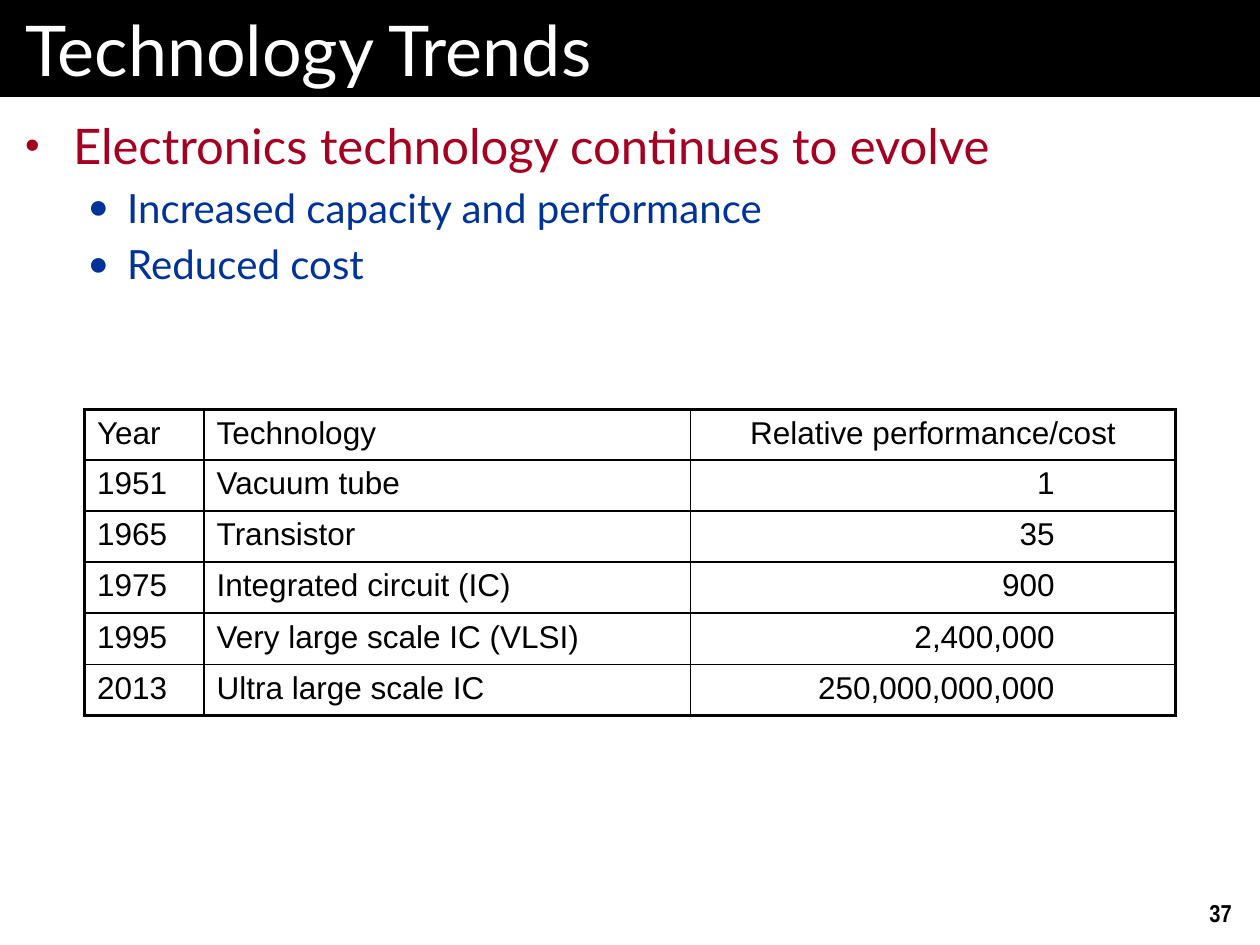
import pptx
import pptx.dml.color
import pptx.enum.text
import pptx.oxml.ns
import pptx.util
from lxml import etree

Inches = pptx.util.Inches
Pt = pptx.util.Pt
Align = pptx.enum.text.PP_ALIGN
Anchor = pptx.enum.text.MSO_ANCHOR

ROWS = [
    ("Year", "Technology", "Relative performance/cost"),
    ("1951", "Vacuum tube", "1"),
    ("1965", "Transistor", "35"),
    ("1975", "Integrated circuit (IC)", "900"),
    ("1995", "Very large scale IC (VLSI)", "2,400,000"),
    ("2013", "Ultra large scale IC", "250,000,000,000"),
]
POINTS = [
    (0, "Electronics technology continues to evolve"),
    (1, "Increased capacity and performance"),
    (1, "Reduced cost"),
]


def color(code):
    return pptx.dml.color.RGBColor.from_string(code)


def add_node(parent, tag, **attrs):
    node = etree.SubElement(parent, pptx.oxml.ns.qn(tag))
    for key, value in attrs.items():
        node.set(key, str(value))
    return node


class Deck:
    black, white = "000000", "FFFFFF"
    head_font, cell_font, page_font = "Lato", "Arial", "Arial Narrow"
    # Per list level: mark, colour, size, left margin, hanging indent
    levels = [("•", "A50021", 28, 0.38, -0.38), ("●", "003399", 23, 0.81, -0.31)]
    thick, medium, thin = 2.25, 1.5, 1

    def __init__(self):
        self.show = pptx.Presentation()
        self.show.slide_width, self.show.slide_height = Inches(10), Inches(7.5)
        self.slide = self.show.slides.add_slide(self.show.slide_layouts[1])

    def place(self, shape, box, side, edge, anchor=Anchor.TOP):
        shape.left, shape.top, shape.width, shape.height = map(Inches, box)
        frame = shape.text_frame
        frame.word_wrap = True
        frame.auto_size = pptx.enum.text.MSO_AUTO_SIZE.NONE
        frame.vertical_anchor = anchor
        frame.margin_left = frame.margin_right = Inches(side)
        frame.margin_top = frame.margin_bottom = Inches(edge)
        return frame

    def add_text(self, para, text, font, size, code, align=Align.LEFT, bold=False):
        para.alignment = align
        run = para.add_run()
        run.text = text
        run.font.name, run.font.size, run.font.bold = font, Pt(size), bold
        run.font.color.rgb = color(code)

    def title(self, text, box):
        shape = self.slide.shapes.title
        frame = self.place(shape, box, 0.2, 0.05, Anchor.MIDDLE)
        shape.fill.solid()
        shape.fill.fore_color.rgb = color(self.black)
        self.add_text(frame.paragraphs[0], text, self.head_font, 40, self.white)

    def body(self, points, box):
        frame = self.place(self.slide.placeholders[1], box, 0.2, 0.15)
        for i, (level, text) in enumerate(points):
            mark, code, size, left, hang = self.levels[level]
            para = frame.add_paragraph() if i else frame.paragraphs[0]
            para.level = level
            para.space_before = Pt(0.2 * size if i else 0)
            props = para._p.get_or_add_pPr()
            props.set("marL", str(Inches(left)))
            props.set("indent", str(Inches(hang)))
            add_node(add_node(props, "a:buClr"), "a:srgbClr", val=code)
            add_node(props, "a:buSzPct", val=85000)
            add_node(props, "a:buFont", typeface=self.cell_font)
            add_node(props, "a:buChar", char=mark)
            self.add_text(para, text, self.head_font, size, code)

    def border(self, cell, widths):
        props = cell._tc.get_or_add_tcPr()
        for side, width in zip("LRTB", widths):
            line = add_node(props, "a:ln" + side, w=Pt(width))
            if width:
                fill = add_node(line, "a:solidFill")
                add_node(fill, "a:srgbClr", val=self.black)
            else:
                add_node(line, "a:noFill")

    def table(self, rows, widths, left, top, height):
        last_row, last_col = len(rows) - 1, len(widths) - 1
        grid = self.slide.shapes.add_table(
            len(rows), len(widths), Inches(left), Inches(top),
            Inches(sum(widths)), Inches(height * len(rows))).table
        grid.first_row = grid.horz_banding = False
        for col, width in zip(grid.columns, widths):
            col.width = Inches(width)
        # The last heading spans the figures and the blank margin column
        grid.cell(0, last_col - 1).merge(grid.cell(0, last_col))
        for r, texts in enumerate(rows):
            grid.rows[r].height = Inches(height)
            tops = {0: self.thick, 1: self.medium}
            lows = {0: self.medium, last_row: self.thick}
            for c in range(len(widths)):
                cell = grid.cell(r, c)
                lefts = {0: self.thick, last_col: 0}
                rights = {last_col - 1: 0 if r else self.thick, last_col: self.thick}
                self.border(cell, (lefts.get(c, self.thin), rights.get(c, self.thin),
                                   tops.get(r, self.thin), lows.get(r, self.thin)))
                cell.fill.background()
                if c < len(texts):
                    align = Align.LEFT
                    if c == last_col - 1:
                        align = Align.RIGHT if r else Align.CENTER
                    self.add_text(cell.text_frame.paragraphs[0], texts[c],
                                  self.cell_font, 18, self.black, align)

    def page(self, text, box):
        shape = self.slide.shapes.add_textbox(*map(Inches, box))
        frame = self.place(shape, box, 0.1, 0.05)
        frame.word_wrap = False
        self.add_text(frame.paragraphs[0], text, self.page_font, 14, self.black, bold=True)


def main():
    deck = Deck()
    # Heading and list
    deck.title("Technology Trends", (0, 0, 10, 0.77))
    deck.body(POINTS, (0, 0.77, 10, 6.73))
    # Table of trends
    deck.table(ROWS, (0.95, 3.86, 2.99, 0.86), 0.67, 3.25, 0.4)
    # Page number
    deck.page("37", (9.5, 7.08, 0.42, 0.33))
    deck.show.save("out.pptx")


if __name__ == "__main__":
    main()
